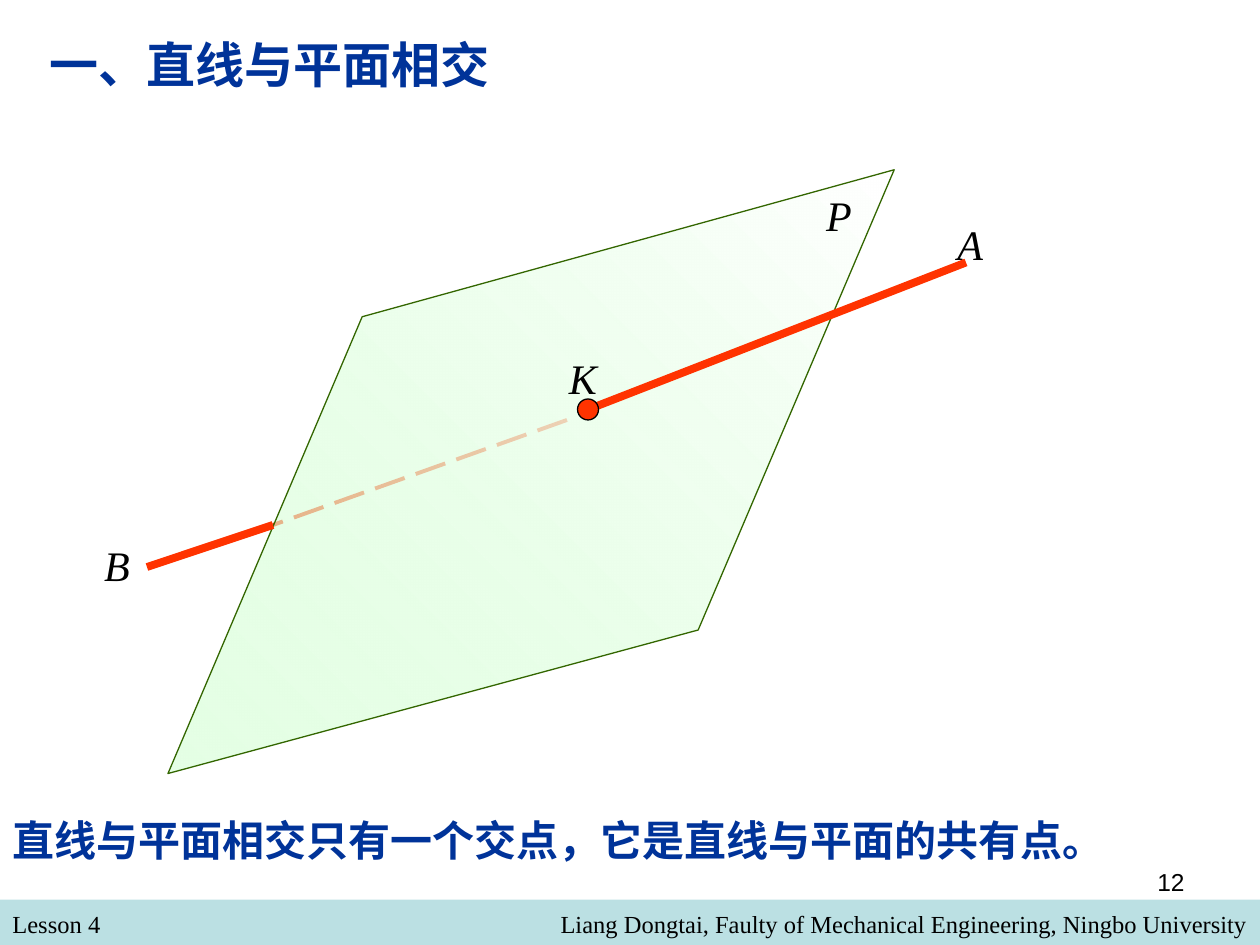
import pptx
import pptx.dml.color
import pptx.enum.dml
import pptx.enum.shapes
import pptx.enum.text
import pptx.oxml
import pptx.oxml.ns
import pptx.util

Pt = pptx.util.Pt
SERIF = "Times New Roman"
BLUE, RED, BLACK = "003399", "FF3300", "000000"


def color(value):
    return pptx.dml.color.RGBColor.from_string(value)


def add_text(slide, text, left, top, width, height, font=SERIF, size=24,
             fill=BLACK, bold=False, italic=False, right=False, wrap=True):
    box = slide.shapes.add_textbox(Pt(left), Pt(top), Pt(width), Pt(height))
    tf = box.text_frame
    tf.word_wrap = wrap
    p = tf.paragraphs[0]
    if right:
        p.alignment = pptx.enum.text.PP_ALIGN.RIGHT
    r = p.add_run()
    r.text = text
    r.font.name = font
    r.font.size = Pt(size)
    r.font.bold = bold
    r.font.italic = italic
    r.font.color.rgb = color(fill)


def add_label(slide, letter, left, top):
    """Name a point or plane with an italic letter."""
    add_text(slide, letter, left, top, 33, 36, italic=True)


def add_line(slide, start, end, width, dash=None):
    points = [Pt(v) for v in (*start, *end)]
    s = slide.shapes.add_connector(
        pptx.enum.shapes.MSO_CONNECTOR.STRAIGHT, *points)
    s.line.color.rgb = color(RED)
    s.line.width = Pt(width)
    if dash:
        s.line.dash_style = dash
    s._element.spPr.append(pptx.oxml.parse_xml(
        "<a:effectLst %s/>" % pptx.oxml.ns.nsdecls("a")))


def add_shape(slide, kind, left, top, width, height, fill, line=None):
    s = slide.shapes.add_shape(kind, Pt(left), Pt(top), Pt(width), Pt(height))
    s.shadow.inherit = False
    s.fill.solid()
    s.fill.fore_color.rgb = color(fill)
    if line:
        s.line.color.rgb = color(line)
        s.line.width = Pt(0.75)
    else:
        s.line.fill.background()


def add_plane(slide, corners):
    """Draw a parallelogram fading from half-transparent green to white."""
    builder = slide.shapes.build_freeform(*corners[0], scale=Pt(1))
    builder.add_line_segments(corners[1:], close=True)
    s = builder.convert_to_shape()
    s.shadow.inherit = False
    s.fill.gradient()
    s.fill.gradient_angle = 45
    stops = s.fill.gradient_stops
    for stop, value, position in zip(stops, ("CCFFCC", "FFFFFF"), (0, 1)):
        stop.color.rgb = color(value)
        stop.position = position
    green = s._element.spPr.xpath(".//a:gs/a:srgbClr")[0]
    green.append(pptx.oxml.parse_xml(
        '<a:alpha %s val="50000"/>' % pptx.oxml.ns.nsdecls("a")))
    s.line.color.rgb = color("336600")
    s.line.width = Pt(0.75)


def add_footer(slide):
    add_shape(slide, pptx.enum.shapes.MSO_SHAPE.RECTANGLE,
              0, 514, 720, 26, "BBE0E3")
    add_text(slide, "Lesson 4", 0, 516, 348, 24.5, size=14)
    add_text(slide, "Liang Dongtai, Faulty of Mechanical Engineering, "
             "Ningbo University", 132, 516, 588, 24.5, size=14, right=True)
    add_text(slide, "12", 516, 492, 168, 37.5, font="Arial", size=14,
             right=True)


def add_diagram(slide):
    """Line AB pierces plane P at K; the part behind the plane is dashed."""
    a, k, b = (552, 150), (336, 234), (84, 324)
    plane_edge = (156, 300)
    add_line(slide, (324, 240), plane_edge, 2.25,
             pptx.enum.dml.MSO_LINE.LONG_DASH)
    add_plane(slide, [(207.2, 181.2), (96, 442.5), (398.6, 360),
                      (511, 97.4)])
    add_label(slide, "P", 465, 105)
    add_label(slide, "B", 52.5, 305)
    add_line(slide, plane_edge, b, 4.5)
    add_label(slide, "K", 318, 198)
    add_label(slide, "A", 540, 121.5)
    add_line(slide, k, a, 4.5)
    radius = 6
    add_shape(slide, pptx.enum.shapes.MSO_SHAPE.OVAL, k[0] - radius,
              k[1] - radius, 2 * radius, 2 * radius, RED, BLACK)


def main():
    prs = pptx.Presentation()
    prs.slide_width, prs.slide_height = Pt(720), Pt(540)
    slide = prs.slides.add_slide(prs.slide_layouts[6])
    add_footer(slide)
    add_diagram(slide)
    add_text(slide, "直线与平面相交只有一个交点，它是直线与平面的共有点。",
             0, 462, 720, 36, fill=BLUE, bold=True)
    add_text(slide, "一、直线与平面相交", 21, 16, 266, 41, font="Arial",
             size=28, fill=BLUE, bold=True, wrap=False)
    prs.save("out.pptx")


if __name__ == "__main__":
    main()
